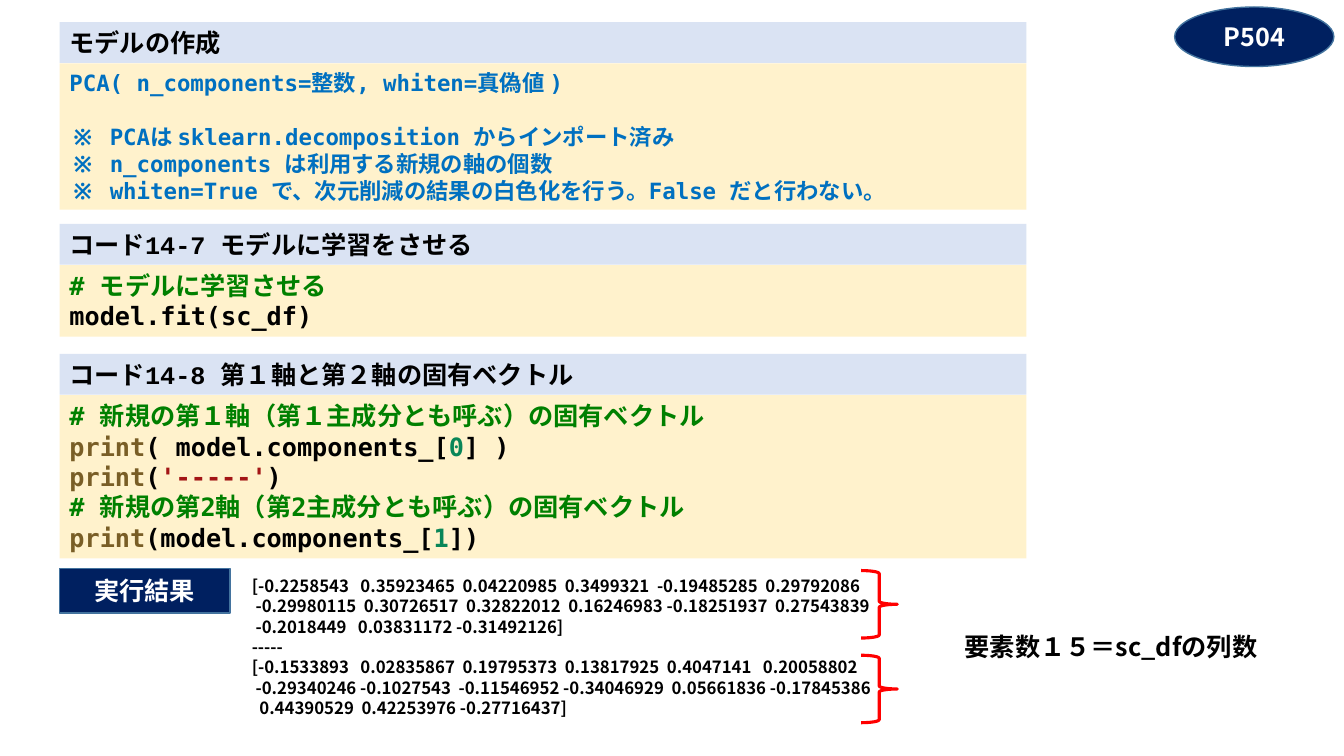
"""Build the slide on fitting a PCA model and reading its eigenvectors."""
from dataclasses import dataclass

from lxml.etree import SubElement
from pptx import Presentation
from pptx.dml.color import RGBColor
from pptx.enum.shapes import MSO_SHAPE as Geo
from pptx.enum.text import MSO_ANCHOR as Anchor, PP_ALIGN as Align
from pptx.oxml.ns import qn
from pptx.util import Inches, Pt

WIDTH, HEIGHT = Inches(13.33), Inches(7.5)
LEFT, PANEL_WIDTH, HEADER_HEIGHT, BODY_OFFSET = 4.43, 71.94, 5.4, 5.47
LINE_PITCH = 1.21

BLACK = RGBColor(0x00, 0x00, 0x00)
WHITE = RGBColor(0xFF, 0xFF, 0xFF)
RED = RGBColor(0xFF, 0x00, 0x00)
NAVY = RGBColor(0x00, 0x20, 0x60)
STEEL = RGBColor(0x43, 0x73, 0x9E)
CREAM = RGBColor(0xFF, 0xF2, 0xCC)
PALE_BLUE = RGBColor(0xDA, 0xE3, 0xF3)
BLUE = RGBColor(0x00, 0x70, 0xC0)
COMMENT = RGBColor(0x00, 0x80, 0x00)
FUNCTION = RGBColor(0x79, 0x5E, 0x26)
NUMBER = RGBColor(0x09, 0x86, 0x58)
STRING = RGBColor(0xA3, 0x15, 0x15)

JAPANESE, CODE, HEADING = "Noto Sans CJK JP", "DejaVu Sans Mono", "Courier New"

Span = tuple[str, RGBColor]
Line = list[Span]


@dataclass(frozen=True)
class Box:
    """Position and size in percent of the slide."""
    left: float
    top: float
    width: float
    height: float

    def emu(self) -> tuple[int, int, int, int]:
        return (int(WIDTH * self.left / 100), int(HEIGHT * self.top / 100),
                int(WIDTH * self.width / 100), int(HEIGHT * self.height / 100))


@dataclass(frozen=True)
class Panel:
    """A heading bar above a block of code."""
    top: float
    body_height: float
    title: str
    lines: list[Line]
    size: int = 18
    gap_before: int | None = None


@dataclass(frozen=True)
class Badge:
    """A navy label."""
    geometry: Geo
    box: Box
    text: str


@dataclass(frozen=True)
class Note:
    """Plain black text."""
    box: Box
    lines: list[str]
    size: int


PANELS = [
    Panel(2.93, 19.33, "モデルの作成", [
        [("PCA( n_components=整数, whiten=真偽値 )", BLUE)],
        [("※ PCAは sklearn.decomposition からインポート済み", BLUE)],
        [("※ n_components は利用する新規の軸の個数", BLUE)],
        [("※ whiten=True で、次元削減の結果の白色化を行う。False だと行わない。", BLUE)],
    ], size=16, gap_before=1),
    Panel(29.6, 9.47, "コード14-7 モデルに学習をさせる", [
        [("# モデルに学習させる", COMMENT)],
        [("model.fit(sc_df)", BLACK)],
    ]),
    Panel(46.8, 21.6, "コード14-8 第１軸と第２軸の固有ベクトル", [
        [("# 新規の第１軸（第１主成分とも呼ぶ）の固有ベクトル", COMMENT)],
        [("print", FUNCTION), ("( model.components_[", BLACK), ("0", NUMBER), ("] )", BLACK)],
        [("print", FUNCTION), ("(", BLACK), ("'-----'", STRING), (")", BLACK)],
        [("# 新規の第2軸（第2主成分とも呼ぶ）の固有ベクトル", COMMENT)],
        [("print", FUNCTION), ("(model.components_[", BLACK), ("1", NUMBER), ("])", BLACK)],
    ]),
]

BADGES = [
    Badge(Geo.RECTANGLE, Box(LEFT, 75.2, 12.68, 5.87), "実行結果"),
    Badge(Geo.OVAL, Box(87.4, 0.93, 11.85, 7.87), "P504"),
]

NOTES = [
    Note(Box(18, 75.47, 49.96, 20.13), [
        "[-0.2258543   0.35923465  0.04220985  0.3499321  -0.19485285  0.29792086",
        " -0.29980115  0.30726517  0.32822012  0.16246983 -0.18251937  0.27543839",
        " -0.2018449   0.03831172 -0.31492126]",
        "-----",
        "[-0.1533893   0.02835867  0.19795373  0.13817925  0.4047141   0.20058802",
        " -0.29340246 -0.1027543  -0.11546952 -0.34046929  0.05661836 -0.17845386",
        "  0.44390529  0.42253976 -0.27716437]",
    ], 12),
    Note(Box(71.04, 82.8, 25.51, 5.33), ["要素数１５＝sc_dfの列数"], 18),
]

BRACES = [Box(64.07, top, 2.7, 8.93) for top in (75.47, 86.67)]


def add_shape(s, geometry: Geo, box: Box, fill: RGBColor | None = None,
              line: RGBColor | None = None, weight: float = 1):
    sp = s.shapes.add_shape(geometry, *box.emu())
    sp.shadow.inherit = False
    if fill is None:
        sp.fill.background()
    else:
        sp.fill.solid()
        sp.fill.fore_color.rgb = fill
    if line is None:
        sp.line.fill.background()
    else:
        sp.line.color.rgb = line
        sp.line.width = Pt(weight)
    return sp


def write(sp, lines: list[Line], font: str, size: int, align: Align = Align.LEFT,
          anchor: Anchor = Anchor.TOP, gap_before: int | None = None) -> None:
    tf = sp.text_frame
    tf.word_wrap = True
    tf.vertical_anchor = anchor
    for i, spans in enumerate(lines):
        p = tf.add_paragraph() if i else tf.paragraphs[0]
        p.alignment = align
        p.line_spacing = Pt(size * LINE_PITCH)
        if i == gap_before:
            p.space_before = Pt(size * LINE_PITCH)
        for text, color in spans:
            r = p.add_run()
            r.text = text
            r.font.size = Pt(size)
            r.font.bold = True
            r.font.name = font
            r.font.color.rgb = color
            SubElement(r.font._element, qn("a:ea")).set("typeface", JAPANESE)


def draw_panel(s, panel: Panel) -> None:
    body = Box(LEFT, panel.top + BODY_OFFSET, PANEL_WIDTH, panel.body_height)
    header = Box(LEFT, panel.top, PANEL_WIDTH, HEADER_HEIGHT)
    write(add_shape(s, Geo.RECTANGLE, body, CREAM), panel.lines, CODE, panel.size,
          gap_before=panel.gap_before)
    write(add_shape(s, Geo.RECTANGLE, header, PALE_BLUE), [[(panel.title, BLACK)]], HEADING, 18)


def draw_badge(s, badge: Badge) -> None:
    sp = add_shape(s, badge.geometry, badge.box, NAVY, STEEL)
    write(sp, [[(badge.text, WHITE)]], JAPANESE, 18, Align.CENTER, Anchor.MIDDLE)


def draw_note(s, note: Note) -> None:
    sp = s.shapes.add_textbox(*note.box.emu())
    write(sp, [[(text, BLACK)] for text in note.lines], JAPANESE, note.size)


def main() -> None:
    prs = Presentation()
    prs.slide_width, prs.slide_height = WIDTH, HEIGHT
    s = prs.slides.add_slide(prs.slide_layouts[6])
    for panel in PANELS:
        draw_panel(s, panel)
    for badge in BADGES:
        draw_badge(s, badge)
    for note in NOTES:
        draw_note(s, note)
    for box in BRACES:
        add_shape(s, Geo.RIGHT_BRACE, box, line=RED, weight=2.25)
    prs.save("out.pptx")


if __name__ == "__main__":
    main()
